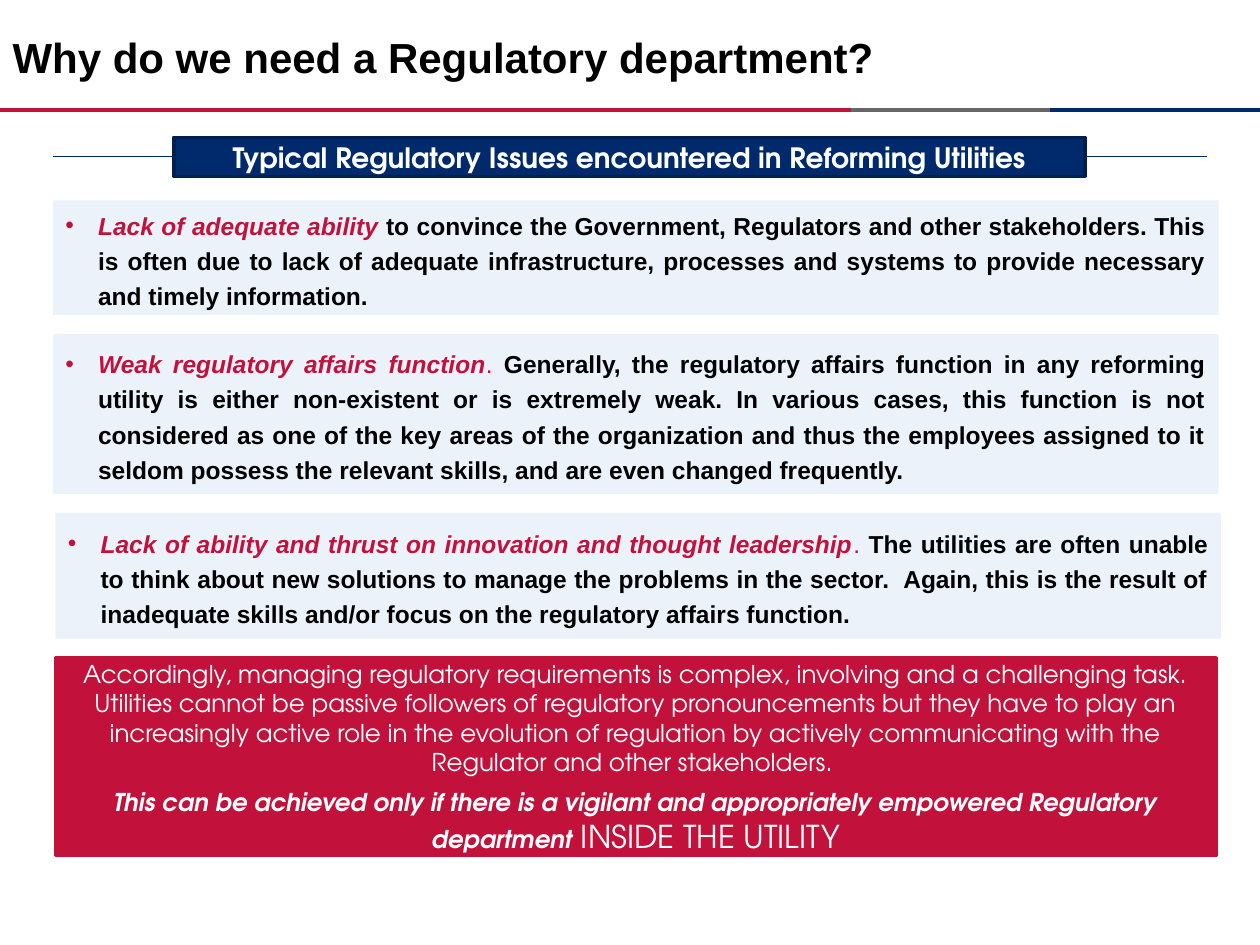
from dataclasses import dataclass

from lxml import etree
from pptx import Presentation
from pptx import util as u
from pptx.dml.color import RGBColor
from pptx.enum import shapes, text
from pptx.oxml.ns import qn

WIDTH, HEIGHT = 10, 7.5


@dataclass(frozen=True)
class Theme:
    red: str = "C2113A"
    navy: str = "002A6C"
    navy_edge: str = "001F50"
    navy_rule: str = "00296A"
    grey: str = "666666"
    pale: str = "EBF2FA"
    white: str = "FFFFFF"
    black: str = "000000"
    body_font: str = "Arial"
    accent_font: str = "TeX Gyre Adventor"
    title_size: int = 24
    heading_size: int = 16
    body_size: int = 14
    emphasis_size: int = 18


THEME = Theme()

ISSUES = [
    ((0.42, 1.59, 9.25, 0.91), "Lack of adequate ability ", "",
     "to convince the Government, Regulators and other stakeholders. This is often due to "
     "lack of adequate infrastructure, processes and systems to provide necessary and timely "
     "information. "),
    ((0.42, 2.65, 9.25, 1.27), "Weak regulatory affairs function", ". ",
     "Generally, the regulatory affairs function in any reforming utility is either "
     "non-existent or is extremely weak. In various cases, this function is not considered as "
     "one of the key areas of the organization and thus the employees assigned to it seldom "
     "possess the relevant skills, and are even changed frequently. "),
    ((0.44, 4.07, 9.25, 1), "Lack of ability and thrust on innovation and thought leadership", ". ",
     "The utilities are often unable to think about new solutions to manage the problems in "
     "the sector.  Again, this is the result of inadequate skills and/or focus on the "
     "regulatory affairs function. "),
]
CONCLUSION = (
    "Accordingly, managing regulatory requirements is complex, involving and a challenging "
    "task. Utilities cannot be passive followers of regulatory pronouncements but they have to "
    "play an increasingly active role in the evolution of regulation by actively communicating "
    "with the Regulator and other stakeholders. ")
CONDITION = ("This can be achieved only if there is a vigilant and appropriately empowered "
             "Regulatory department")


def inches(box):
    return [u.Inches(length) for length in box]


def style(run, size, color, font, bold=False, italic=False):
    run.font.size = u.Pt(size)
    run.font.name = font
    run.font.bold = bold
    run.font.italic = italic
    run.font.color.rgb = RGBColor.from_string(color)


def add_run(paragraph, words, *look):
    run = paragraph.add_run()
    run.text = words
    style(run, *look)


def add_rule(slide, left, right, y, color, weight):
    rule = slide.shapes.add_connector(
        shapes.MSO_CONNECTOR.STRAIGHT, *inches((left, y, right, y)))
    rule.line.color.rgb = RGBColor.from_string(color)
    rule.line.width = u.Pt(weight)
    etree.SubElement(rule._element.spPr, qn("a:effectLst"))


def add_panel(slide, box, fill, edge=None):
    panel = slide.shapes.add_shape(shapes.MSO_SHAPE.RECTANGLE, *inches(box))
    panel.shadow.inherit = False
    panel.fill.solid()
    panel.fill.fore_color.rgb = RGBColor.from_string(fill)
    if edge:
        panel.line.color.rgb = RGBColor.from_string(edge)
        panel.line.width = u.Pt(2)
    else:
        panel.line.fill.background()
    panel.text_frame.word_wrap = True
    panel.text_frame.vertical_anchor = text.MSO_ANCHOR.MIDDLE
    return panel.text_frame


def place_title(slide, box):
    title = slide.shapes.title
    title.left, title.top, title.width, title.height = inches(box)
    frame = title.text_frame
    frame.text = "Why do we need a Regulatory department?"
    frame.vertical_anchor = text.MSO_ANCHOR.TOP
    frame.margin_top = u.Inches(0.08)
    heading = frame.paragraphs[0]
    heading.alignment = text.PP_ALIGN.LEFT
    style(heading.runs[0], THEME.title_size, THEME.black, THEME.body_font, True)


def place_stripe(slide, y):
    stops = (0, 0.675 * WIDTH, 0.833 * WIDTH, WIDTH)
    for left, right, color in zip(stops, stops[1:], (THEME.red, THEME.grey, THEME.navy)):
        add_rule(slide, left, right, y, color, 2.25)


def place_banner(slide, box):
    left, top, width, height = box
    add_rule(slide, 0.42, WIDTH - 0.42, top + height / 2, THEME.navy_rule, 0.75)
    heading = add_panel(slide, box, THEME.navy, THEME.navy_edge).paragraphs[0]
    heading.alignment = text.PP_ALIGN.CENTER
    add_run(heading, "Typical Regulatory Issues encountered in Reforming Utilities",
            THEME.heading_size, THEME.white, THEME.accent_font, True)


def place_issue(slide, box, lead, stop, detail):
    issue = add_panel(slide, box, THEME.pale).paragraphs[0]
    issue.alignment = text.PP_ALIGN.JUSTIFY
    issue.line_spacing = 1.2
    issue.space_after = u.Pt(6)
    properties = issue._p.get_or_add_pPr()
    properties.set("marL", str(u.Inches(0.26)))
    properties.set("indent", str(-u.Inches(0.26)))
    bullet_color = etree.SubElement(properties, qn("a:buClr"))
    etree.SubElement(bullet_color, qn("a:srgbClr"), val=THEME.red)
    etree.SubElement(properties, qn("a:buFont"), typeface=THEME.body_font)
    etree.SubElement(properties, qn("a:buChar"), char="•")
    add_run(issue, lead, THEME.body_size, THEME.red, THEME.body_font, True, True)
    if stop:
        add_run(issue, stop, THEME.body_size, THEME.red, THEME.body_font)
    add_run(issue, detail, THEME.body_size, THEME.black, THEME.body_font, True)


def place_conclusion(slide, box):
    frame = add_panel(slide, box, THEME.red, THEME.red)
    conclusion, condition = frame.paragraphs[0], frame.add_paragraph()
    conclusion.alignment = condition.alignment = text.PP_ALIGN.CENTER
    conclusion.space_after = u.Pt(6)
    add_run(conclusion, CONCLUSION, THEME.body_size, THEME.white, THEME.accent_font)
    add_run(condition, CONDITION, THEME.body_size, THEME.white, THEME.accent_font, True, True)
    add_run(condition, " INSIDE THE UTILITY",
            THEME.emphasis_size, THEME.white, THEME.accent_font)


def main():
    deck = Presentation()
    deck.slide_width, deck.slide_height = inches((WIDTH, HEIGHT))
    slide = deck.slides.add_slide(deck.slide_layouts[5])
    place_stripe(slide, 0.87)
    place_title(slide, (0, 0.17, WIDTH, 0.67))
    place_banner(slide, (1.38, 1.09, 7.23, 0.31))
    for issue in ISSUES:
        place_issue(slide, *issue)
    place_conclusion(slide, (0.44, 5.22, 9.21, 1.57))
    deck.save("out.pptx")


if __name__ == "__main__":
    main()
